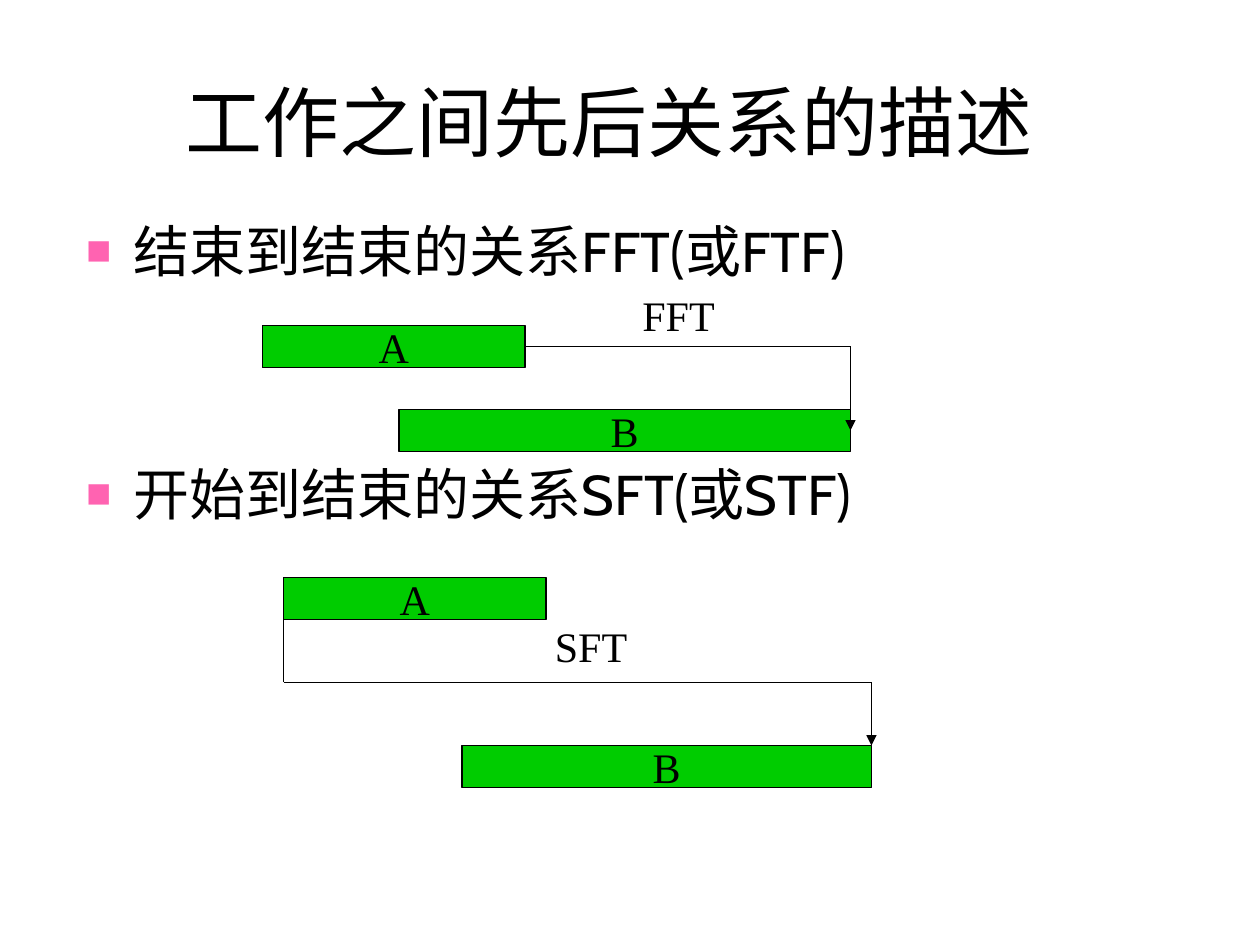
from itertools import pairwise

from lxml.etree import SubElement
from pptx import Presentation
from pptx.dml.color import RGBColor
from pptx.enum.shapes import MSO_CONNECTOR as CONN, MSO_SHAPE as SHAPE
from pptx.enum.text import MSO_ANCHOR as ANCHOR, MSO_AUTO_SIZE as AUTO, PP_ALIGN as ALIGN
from pptx.oxml.ns import qn
from pptx.util import Pt

BLACK = RGBColor(0x00, 0x00, 0x00)
GREEN = RGBColor(0x00, 0xCC, 0x00)
PINK = RGBColor(0xFF, 0x63, 0xB1)
HEAD_FONT, LABEL_FONT = "Cabin", "Times New Roman"
BAR_H, INDENT, ITEM_GAP = 24, 27, 100.5

TITLE = "工作之间先后关系的描述"
ITEMS = ["结束到结束的关系FFT(或FTF)", "开始到结束的关系SFT(或STF)"]
DIAGRAMS = [
    {
        "bars": [("A", 150, 186, 150), ("B", 228, 234, 258)],
        "route": [(300, 198), (486, 198), (486, 246)],
        "label": ("FFT", 360, 162),
    },
    {
        "bars": [("A", 162, 330, 150), ("B", 264, 426, 234)],
        "route": [(162, 342), (162, 390), (498, 390), (498, 426)],
        "label": ("SFT", 310, 351),
    },
]


def place(sp, *box):
    sp.left, sp.top, sp.width, sp.height = map(Pt, box)


def write(p, text, size=24, font=LABEL_FONT, align=ALIGN.LEFT, before=0):
    p.alignment = align
    p.space_before = Pt(before)
    r = p.add_run()
    r.text = text
    r.font.size = Pt(size)
    r.font.name = font
    r.font.color.rgb = BLACK


def add_bullet(p):
    pPr = p._p.get_or_add_pPr()
    pPr.set("marL", str(Pt(INDENT)))
    pPr.set("indent", str(-Pt(INDENT)))
    color = SubElement(pPr, qn("a:buClr"))
    SubElement(color, qn("a:srgbClr"), val=str(PINK))
    SubElement(pPr, qn("a:buSzPct"), val="75000")
    SubElement(pPr, qn("a:buChar"), char="■")


def add_bar(s, text, x, y, w):
    sp = s.shapes.add_shape(SHAPE.RECTANGLE, Pt(x), Pt(y), Pt(w), Pt(BAR_H))
    sp.shadow.inherit = False
    sp.fill.solid()
    sp.fill.fore_color.rgb = GREEN
    sp.line.color.rgb = BLACK
    sp.line.width = Pt(1)
    tf = sp.text_frame
    tf.word_wrap = False
    tf.vertical_anchor = ANCHOR.MIDDLE
    write(tf.paragraphs[0], text, align=ALIGN.CENTER)


def add_line(s, start, end, arrow):
    line = s.shapes.add_connector(CONN.STRAIGHT, *map(Pt, start + end))
    line.line.color.rgb = BLACK
    line.line.width = Pt(1)
    if arrow:
        SubElement(line.line._get_or_add_ln(), qn("a:tailEnd"), type="triangle")
    SubElement(line._element.spPr, qn("a:effectLst"))


def add_label(s, text, x, y):
    tf = s.shapes.add_textbox(Pt(x), Pt(y), Pt(55.5), Pt(36)).text_frame
    tf.word_wrap = False
    tf.auto_size = AUTO.SHAPE_TO_FIT_TEXT
    write(tf.paragraphs[0], text)


def main():
    prs = Presentation()
    prs.slide_width, prs.slide_height = Pt(720), Pt(540)
    s = prs.slides.add_slide(prs.slide_layouts[1])
    title, body = s.placeholders

    place(title, 42, 24, 612, 90)
    tf = title.text_frame
    tf.auto_size = AUTO.NONE
    tf.vertical_anchor = ANCHOR.MIDDLE
    write(tf.paragraphs[0], TITLE, size=44, font=HEAD_FONT, align=ALIGN.CENTER)

    place(body, 42, 120, 612, 324)
    tf = body.text_frame
    tf.auto_size = AUTO.NONE
    for i, item in enumerate(ITEMS):
        p = tf.add_paragraph() if i else tf.paragraphs[0]
        add_bullet(p)
        write(p, item, size=32, font=HEAD_FONT, before=ITEM_GAP * i)

    for diagram in DIAGRAMS:
        for bar in diagram["bars"]:
            add_bar(s, *bar)
        route = diagram["route"]
        for start, end in pairwise(route):
            add_line(s, start, end, arrow=end == route[-1])
        add_label(s, *diagram["label"])

    prs.save("out.pptx")


if __name__ == "__main__":
    main()
